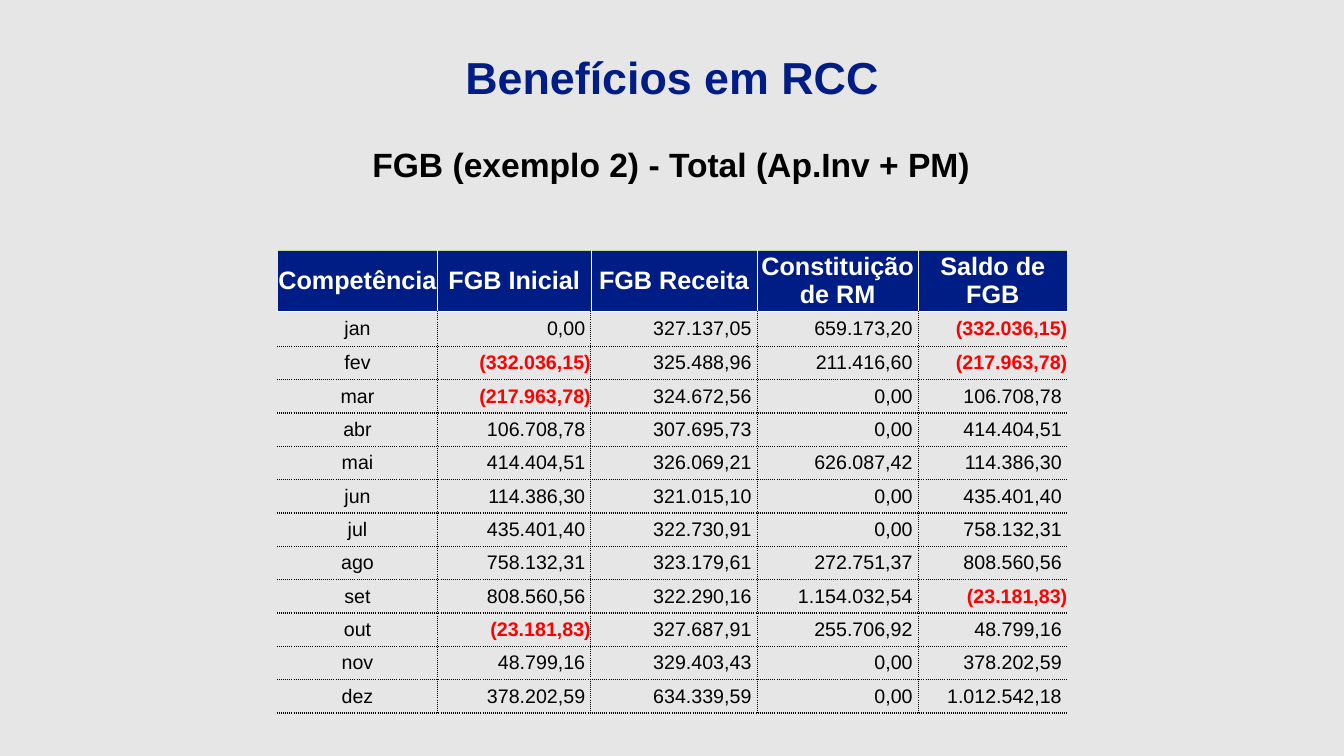
"""Build the RCC benefits slide with its monthly FGB balance table."""
import dataclasses

import lxml.etree
import pptx
import pptx.dml.color
import pptx.enum.text
import pptx.oxml.ns
import pptx.util

Cm = pptx.util.Cm
ALIGN = pptx.enum.text.PP_ALIGN
MIDDLE = pptx.enum.text.MSO_ANCHOR.MIDDLE


@dataclasses.dataclass(frozen=True)
class Theme:
    font: str = "Arial"
    background: str = "E6E6E6"
    navy: str = "001D85"
    ink: str = "000000"
    negative: str = "FF0000"
    white: str = "FFFFFF"
    header_top: str = "C4D79B"
    title_size: int = 32
    subtitle_size: int = 24
    header_size: int = 18
    value_size: int = 14


HEADINGS = ["Competência", "FGB Inicial", "FGB Receita", "Constituição de RM", "Saldo de FGB"]
COLUMN_WIDTHS = [4.04, 3.86, 4.19, 4.06, 3.76]
HEADER_HEIGHT, FIRST_MONTH_HEIGHT, MONTH_HEIGHT = 1.52, 0.88, 0.84
VALUE_INSET = 0.14
OPENING_BALANCE = "0,00"
MONTHS = [
    ("jan", "327.137,05", "659.173,20", "(332.036,15)"),
    ("fev", "325.488,96", "211.416,60", "(217.963,78)"),
    ("mar", "324.672,56", "0,00", "106.708,78"),
    ("abr", "307.695,73", "0,00", "414.404,51"),
    ("mai", "326.069,21", "626.087,42", "114.386,30"),
    ("jun", "321.015,10", "0,00", "435.401,40"),
    ("jul", "322.730,91", "0,00", "758.132,31"),
    ("ago", "323.179,61", "272.751,37", "808.560,56"),
    ("set", "322.290,16", "1.154.032,54", "(23.181,83)"),
    ("out", "327.687,91", "255.706,92", "48.799,16"),
    ("nov", "329.403,43", "0,00", "378.202,59"),
    ("dez", "634.339,59", "0,00", "1.012.542,18"),
]


def apply(target, values):
    for name, value in values.items():
        setattr(target, name, value)


def statement_rows():
    opening = OPENING_BALANCE
    for month, income, reserve, balance in MONTHS:
        yield [month, opening, income, reserve, balance]
        opening = balance


class BenefitSlide:
    def __init__(self, presentation, theme):
        self.theme = theme
        self.slide = presentation.slides.add_slide(presentation.slide_layouts[0])
        self.fill(self.slide.background.fill, theme.background)

    def fill(self, area, color):
        area.solid()
        area.fore_color.rgb = pptx.dml.color.RGBColor.from_string(color)

    def styled_text(self, paragraph, text, size, color, bold, alignment=ALIGN.CENTER):
        apply(paragraph, {"alignment": alignment, "space_before": pptx.util.Pt(0)})
        run = paragraph.add_run()
        run.text = text
        apply(run.font, {"name": self.theme.font, "size": pptx.util.Pt(size), "bold": bold})
        run.font.color.rgb = pptx.dml.color.RGBColor.from_string(color)

    def heading(self, placeholder, text, box, size, color):
        apply(placeholder, dict(zip(("left", "top", "width", "height"), map(Cm, box))))
        apply(placeholder.text_frame, {
            "word_wrap": True,
            "vertical_anchor": MIDDLE,
            "auto_size": pptx.enum.text.MSO_AUTO_SIZE.SHAPE_TO_FIT_TEXT,
        })
        self.styled_text(placeholder.text_frame.paragraphs[0], text, size, color, True)

    def borders(self, cell, sides):
        properties = cell._tc.get_or_add_tcPr()
        for position, (side, (color, width, dash)) in enumerate(sides.items()):
            line = lxml.etree.Element(pptx.oxml.ns.qn(f"a:ln{side}"), w=str(pptx.util.Pt(width)))
            solid = lxml.etree.SubElement(line, pptx.oxml.ns.qn("a:solidFill"))
            lxml.etree.SubElement(solid, pptx.oxml.ns.qn("a:srgbClr"), val=color)
            lxml.etree.SubElement(line, pptx.oxml.ns.qn("a:prstDash"), val=dash)
            properties.insert(position, line)

    def cell_borders(self, row, column):
        theme = self.theme
        edge = (theme.background, 1, "solid")
        dotted = (theme.ink, 1, "sysDot")
        rule = (theme.white, 0.5, "solid")
        inner = rule if row == 0 else dotted
        tops = {0: (theme.header_top, 0.5, "solid"), 1: rule}
        return {
            "L": edge if column == 0 else inner,
            "R": edge if column == len(HEADINGS) - 1 else inner,
            "T": tops.get(row, dotted),
            "B": inner,
        }

    def cell(self, cell, row, column, text):
        theme = self.theme
        header, negative = row == 0, text.startswith("(")
        amount = not header and column > 0
        apply(cell, {
            "margin_left": 0, "margin_top": 0, "margin_bottom": 0,
            "margin_right": Cm(VALUE_INSET) if amount and not negative else 0,
            "vertical_anchor": MIDDLE,
        })
        if header:
            self.fill(cell.fill, theme.navy)
        else:
            cell.fill.background()
        self.borders(cell, self.cell_borders(row, column))
        color = theme.white if header else theme.negative if negative else theme.ink
        self.styled_text(
            cell.text_frame.paragraphs[0], text,
            theme.header_size if header else theme.value_size,
            color, header or negative, ALIGN.RIGHT if amount else ALIGN.CENTER,
        )

    def table(self, left, top, rows, widths, heights):
        table = self.slide.shapes.add_table(
            len(rows), len(widths), Cm(left), Cm(top), Cm(sum(widths)), Cm(sum(heights))
        ).table
        apply(table, {"first_row": True, "horz_banding": False})
        for column, width in zip(table.columns, widths):
            column.width = Cm(width)
        for row, height in zip(table.rows, heights):
            row.height = Cm(height)
        for r, texts in enumerate(rows):
            for c, text in enumerate(texts):
                self.cell(table.cell(r, c), r, c, text)


def main():
    theme = Theme()
    presentation = pptx.Presentation()
    apply(presentation, {"slide_width": Cm(33.87), "slide_height": Cm(19.05)})
    benefits = BenefitSlide(presentation, theme)
    title, subtitle = benefits.slide.placeholders
    benefits.heading(title, "Benefícios em RCC", (5.46, 1.12, 22.96, 1.63),
                     theme.title_size, theme.navy)
    benefits.heading(subtitle, "FGB (exemplo 2) - Total (Ap.Inv + PM)", (5.51, 3.51, 22.81, 1.27),
                     theme.subtitle_size, theme.ink)
    heights = [HEADER_HEIGHT, FIRST_MONTH_HEIGHT] + [MONTH_HEIGHT] * (len(MONTHS) - 1)
    benefits.table(6.99, 6.32, [HEADINGS, *statement_rows()], COLUMN_WIDTHS, heights)
    presentation.save("out.pptx")


if __name__ == "__main__":
    main()
